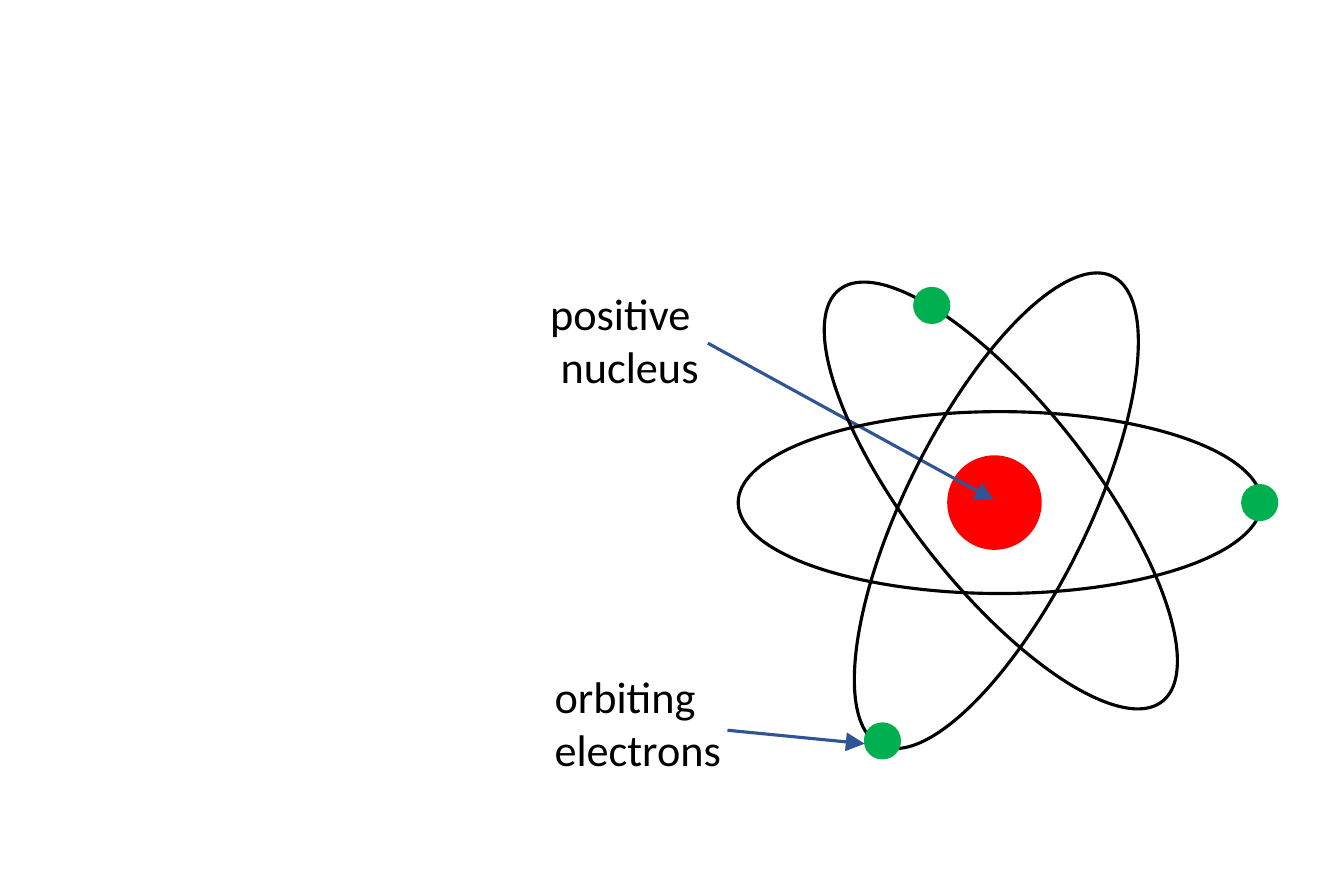
from lxml.etree import SubElement
from pptx import Presentation
from pptx.dml.color import RGBColor
from pptx.enum.shapes import MSO_CONNECTOR, MSO_SHAPE
from pptx.enum.text import MSO_ANCHOR, PP_ALIGN
from pptx.oxml.ns import qn
from pptx.util import Cm, Pt

BLACK = "000000"
WHITE = "FFFFFF"
RED = "FF0000"
GREEN = "00B050"
BLUE = "2F5597"

LINE_WIDTH = Pt(1)
NUCLEUS_SIZE = 1.02
ELECTRON_SIZE = 0.38
ORBIT_WIDTH, ORBIT_HEIGHT = 5.84, 2.03


def color(hex_string):
    return RGBColor.from_string(hex_string)


def add_ellipse(slide, center, width, height, line, fill=None, rotation=0):
    """Add an ellipse by its centre, with all lengths in centimetres."""
    x, y = center
    shape = slide.shapes.add_shape(
        MSO_SHAPE.OVAL, Cm(x - width / 2), Cm(y - height / 2), Cm(width), Cm(height)
    )
    shape.rotation = rotation
    shape.shadow.inherit = False
    shape.line.color.rgb = color(line)
    shape.line.width = LINE_WIDTH
    if fill:
        shape.fill.solid()
        shape.fill.fore_color.rgb = color(fill)
    else:
        shape.fill.background()


def add_particle(slide, center, size, fill):
    add_ellipse(slide, center, size, size, fill, fill)


def add_orbit(slide, center, rotation):
    add_ellipse(slide, center, ORBIT_WIDTH, ORBIT_HEIGHT, BLACK, rotation=rotation)


def add_arrow(slide, start, end):
    connector = slide.shapes.add_connector(
        MSO_CONNECTOR.STRAIGHT, *(Cm(length) for length in (*start, *end))
    )
    connector.line.color.rgb = color(BLUE)
    connector.line.width = LINE_WIDTH
    SubElement(connector.line._get_or_add_ln(), qn("a:tailEnd"), type="triangle")
    SubElement(connector._element.spPr, qn("a:effectLst"))


def add_label(slide, left, top, width, lines):
    """Add a label whose lines are pairs of text and alignment."""
    box = slide.shapes.add_textbox(Cm(left), Cm(top), Cm(width), Cm(1.45))
    box.fill.solid()
    box.fill.fore_color.rgb = color(WHITE)
    frame = box.text_frame
    frame.word_wrap = True
    frame.vertical_anchor = MSO_ANCHOR.TOP
    frame.margin_left = Cm(0.25)
    frame.margin_right = Cm(0.15)
    frame.text = "\n".join(text for text, _ in lines)
    for paragraph, (_, alignment) in zip(frame.paragraphs, lines):
        paragraph.alignment = alignment
        paragraph.font.name = "Calibri"
        paragraph.font.size = Pt(14)
        paragraph.font.color.rgb = color(BLACK)


def main():
    presentation = Presentation()
    presentation.slide_width = Cm(15)
    presentation.slide_height = Cm(10)
    slide = presentation.slides.add_slide(presentation.slide_layouts[6])

    add_label(slide, 5.89, 3.07, 2.18,
              [("positive", PP_ALIGN.LEFT), ("nucleus", PP_ALIGN.CENTER)])
    add_particle(slide, (11.1, 5.61), NUCLEUS_SIZE, RED)
    add_arrow(slide, (7.9, 3.83), (11.09, 5.58))

    for center, rotation in [
        ((11.16, 5.61), 0),
        ((11.12, 5.7), 296.4),
        ((11.17, 5.53), 231.9),
    ]:
        add_orbit(slide, center, rotation)
    for center in [(10.4, 3.41), (9.85, 8.27), (14.06, 5.61)]:
        add_particle(slide, center, ELECTRON_SIZE, GREEN)

    add_label(slide, 5.94, 7.34, 2.39,
              [("orbiting", PP_ALIGN.LEFT), ("electrons", PP_ALIGN.LEFT)])
    add_arrow(slide, (8.12, 8.15), (9.65, 8.3))

    presentation.save("out.pptx")


if __name__ == "__main__":
    main()
